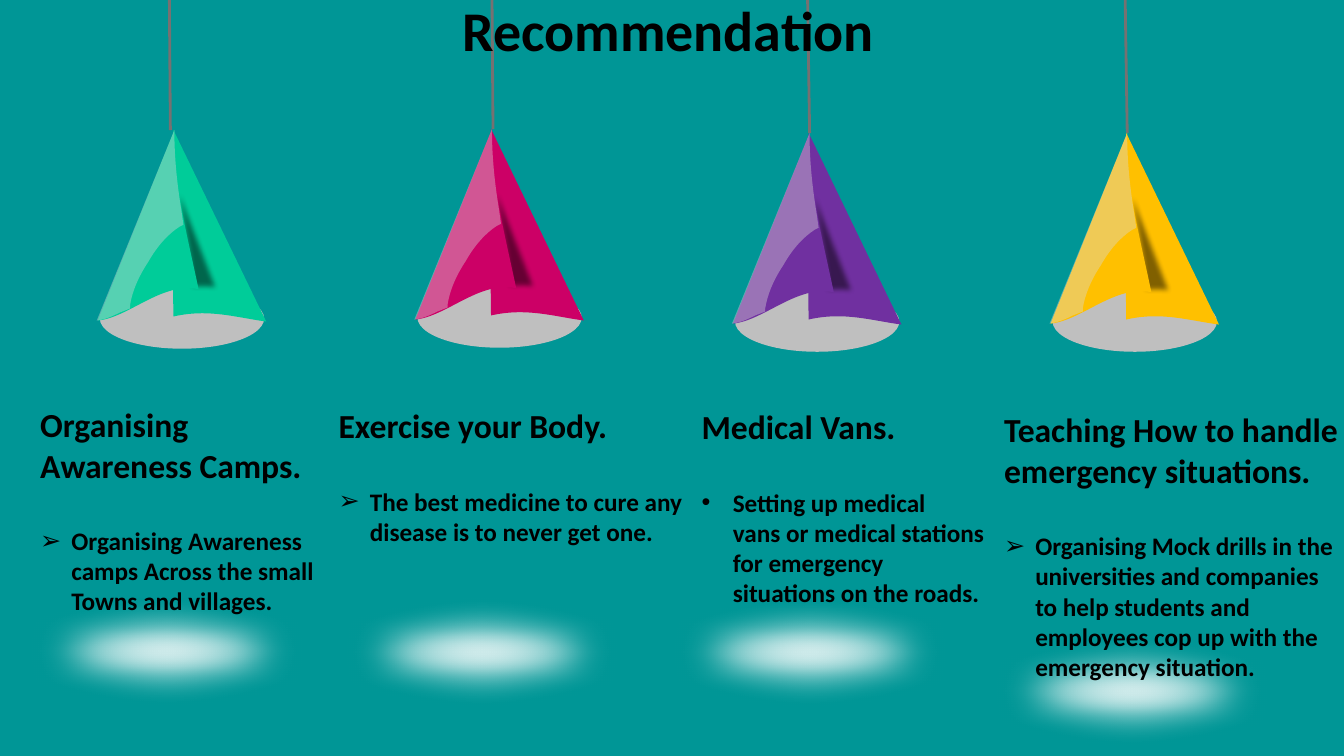
import lxml.etree
import pptx
import pptx.dml.color
import pptx.enum.shapes
import pptx.oxml.ns
import pptx.util

COLUMNS, ROWS = 13.33, 7.5
FONT = "Calibri"
INK, WHITE, CORD, RIM = "000000", "FFFFFF", "767171", "BFBFBF"
HARD_SPACE = chr(160)

RIGHT_PANEL = [(-0.01, 1.85), (-0.02, 1.26, -0.01, 0.59, -0.01, 0), (0.91, 1.9),
               (0.61, 1.86, 0.34, 1.77, -0.01, 1.85)]
FOLD = [(0.13, 1.62), (0.13, 1.25, -0.07, 0.49, -0.07, 0.13), (0.51, 1.64),
        (0.39, 1.62, 0.28, 1.57, 0.13, 1.62)]
LEFT_PANEL = [(0.24, 1.58), (0.12, 1.01, 0, 0.59, 0, 0), (-0.76, 1.89),
              (-0.45, 1.86, -0.12, 1.5, 0.24, 1.58)]
GLOSS = [(0, 0), (0, 0.29, 0.03, 0.55, 0.07, 0.8), (0.09, 0.94), (0.05, 0.96),
         (-0.06, 1.03, -0.17, 1.15, -0.26, 1.31),
         (-0.36, 1.46, -0.42, 1.61, -0.44, 1.74), (-0.44, 1.77), (-0.54, 1.81),
         (-0.62, 1.85, -0.69, 1.88, -0.77, 1.89)]

LAMPS = [
    ("00CC99", 1.29, (1.69, 1.68), (1.2, 2.63), (-0.11, 5.9)),
    ("CC0066", 1.28, (4.89, 4.88), (4.29, 2.71), (3.01, 5.91)),
    ("7030A0", 1.32, (8.03, 8.01), (7.54, 2.7), (6.26, 5.91)),
    ("FFC000", 1.32, (11.18, 11.16), (10.71, 2.7), (9.46, 6.3)),
]
ADVICE = [
    ((0.3, 3.96, 3.12, 2.2), "Organising Awareness Camps.", "➢",
     "Organising Awareness camps Across the small Towns and villages."),
    ((3.26, 3.97, 3.69, 1.5), "Exercise your Body.", "➢",
     f"The best medicine to cure any disease{HARD_SPACE}is to never get one."),
    ((6.86, 3.98, 3.01, 2.9), "Medical Vans.", "•",
     f"Setting up medical vans{HARD_SPACE}or medical stations "
     f"for{HARD_SPACE}emergency situations on{HARD_SPACE}the roads."),
    ((9.86, 4.01, 3.54, 2.8), "Teaching How to handle emergency situations.", "➢",
     "Organising Mock drills in the universities and companies to help students "
     "and employees cop up with the emergency situation."),
]


def colour(value):
    return pptx.dml.color.RGBColor.from_string(value)


def add_element(parent, tag, **attributes):
    return lxml.etree.SubElement(parent, pptx.oxml.ns.qn(tag), attributes)


class Canvas:
    """Draws styled elements on the current slide, measured in grid columns and rows."""

    def __init__(self, presentation, background):
        self.column = presentation.slide_width / COLUMNS
        self.row = presentation.slide_height / ROWS
        self.slide = presentation.slides.add_slide(presentation.slide_layouts[6])
        self.slide.background.fill.solid()
        self.slide.background.fill.fore_color.rgb = colour(background)

    def place(self, x, y):
        return round(x * self.column), round(y * self.row)

    def paint(self, shape, fill, opacity=100, soft=0):
        shape.shadow.inherit = False
        shape.fill.solid()
        shape.fill.fore_color.rgb = colour(fill)
        shape.line.fill.background()
        properties = shape._element.spPr
        if opacity < 100:
            tone = properties.find(".//" + pptx.oxml.ns.qn("a:srgbClr"))
            add_element(tone, "a:alpha", val=str(opacity * 1000))
        if soft:
            effects = properties.find(pptx.oxml.ns.qn("a:effectLst"))
            add_element(effects, "a:softEdge", rad=str(int(pptx.util.Pt(soft))))

    def ellipse(self, x, y, width, height, fill, soft=0):
        shape = self.slide.shapes.add_shape(
            pptx.enum.shapes.MSO_SHAPE.OVAL, *self.place(x, y), *self.place(width, height))
        self.paint(shape, fill, soft=soft)

    def outline(self, x, y, outline, fill, opacity=100, soft=0):
        anchors = [self.place(x + step[-2], y + step[-1]) for step in outline]
        builder = self.slide.shapes.build_freeform(*anchors[0])
        builder.add_line_segments(anchors[1:], close=False)
        shape = builder.convert_to_shape()
        segments = list(shape._element.iter(pptx.oxml.ns.qn("a:lnTo")))
        for segment, step in zip(segments, outline[1:]):
            if len(step) == 6:
                self.bend(shape, segment, x, y, step)
        add_element(segments[-1].getparent() if len(outline[-1]) == 2 else
                    next(shape._element.iter(pptx.oxml.ns.qn("a:moveTo"))).getparent(),
                    "a:close")
        self.paint(shape, fill, opacity, soft)

    def bend(self, shape, segment, x, y, step):
        curve = lxml.etree.Element(pptx.oxml.ns.qn("a:cubicBezTo"))
        for dx, dy in zip(step[::2], step[1::2]):
            across, down = self.place(x + dx, y + dy)
            add_element(curve, "a:pt", x=str(across - shape.left), y=str(down - shape.top))
        segment.getparent().replace(segment, curve)

    def line(self, start, end, stroke, width):
        connector = self.slide.shapes.add_connector(
            pptx.enum.shapes.MSO_CONNECTOR.STRAIGHT, *self.place(*start), *self.place(*end))
        connector.line.color.rgb = colour(stroke)
        connector.line.width = pptx.util.Pt(width)
        add_element(connector._element.spPr, "a:effectLst")

    def text_frame(self, x, y, width, height):
        box = self.slide.shapes.add_textbox(*self.place(x, y), *self.place(width, height))
        box.text_frame.word_wrap = True
        return box.text_frame

    def run(self, paragraph, text, size):
        run = paragraph.add_run()
        run.text = text
        run.font.name = FONT
        run.font.size = pptx.util.Pt(size)
        run.font.bold = True
        run.font.color.rgb = colour(INK)

    def title(self, area, text):
        self.run(self.text_frame(*area).paragraphs[0], text, 40)

    def advice(self, area, heading, bullet, text):
        frame = self.text_frame(*area)
        self.run(frame.paragraphs[0], heading, 24)
        paragraph = frame.add_paragraph()
        paragraph.space_before = pptx.util.Pt(29)
        self.run(paragraph, text, 18)
        properties = paragraph._p.get_or_add_pPr()
        indent = round(0.31 * self.column)
        properties.set("marL", str(indent))
        properties.set("indent", str(-indent))
        add_element(add_element(properties, "a:buClr"), "a:srgbClr", val=INK)
        add_element(properties, "a:buFont", typeface="Arial")
        add_element(properties, "a:buChar", char=bullet)

    def lamp(self, x, y, fill):
        self.ellipse(x - 0.74, y + 1.57, 1.63, 0.6, RIM)
        self.outline(x, y, RIGHT_PANEL, fill)
        self.outline(x, y, FOLD, INK, opacity=50, soft=4)
        self.outline(x, y, LEFT_PANEL, fill)
        self.outline(x, y, GLOSS, "D9D9D9", opacity=40)


def main():
    presentation = pptx.Presentation()
    presentation.slide_width = pptx.util.Inches(COLUMNS)
    presentation.slide_height = pptx.util.Inches(ROWS)
    canvas = Canvas(presentation, "009696")
    for fill, apex, (cord_end, cord_start), bulb, floor in LAMPS:
        canvas.line((cord_end, apex), (cord_start, 0), CORD, 2)
    canvas.title((4.49, -0.09, 4.95, 0.76), "Recommendation")
    for index, (fill, apex, cord, bulb, floor) in enumerate(LAMPS):
        canvas.lamp(1.73 + 3.15 * index, apex, fill)
        canvas.ellipse(*bulb, 1.1, 1.17, WHITE, soft=30)
        canvas.ellipse(*floor, 3.54, 1.12, WHITE, soft=25)
    for advice in ADVICE:
        canvas.advice(*advice)
    presentation.save("out.pptx")


if __name__ == "__main__":
    main()
